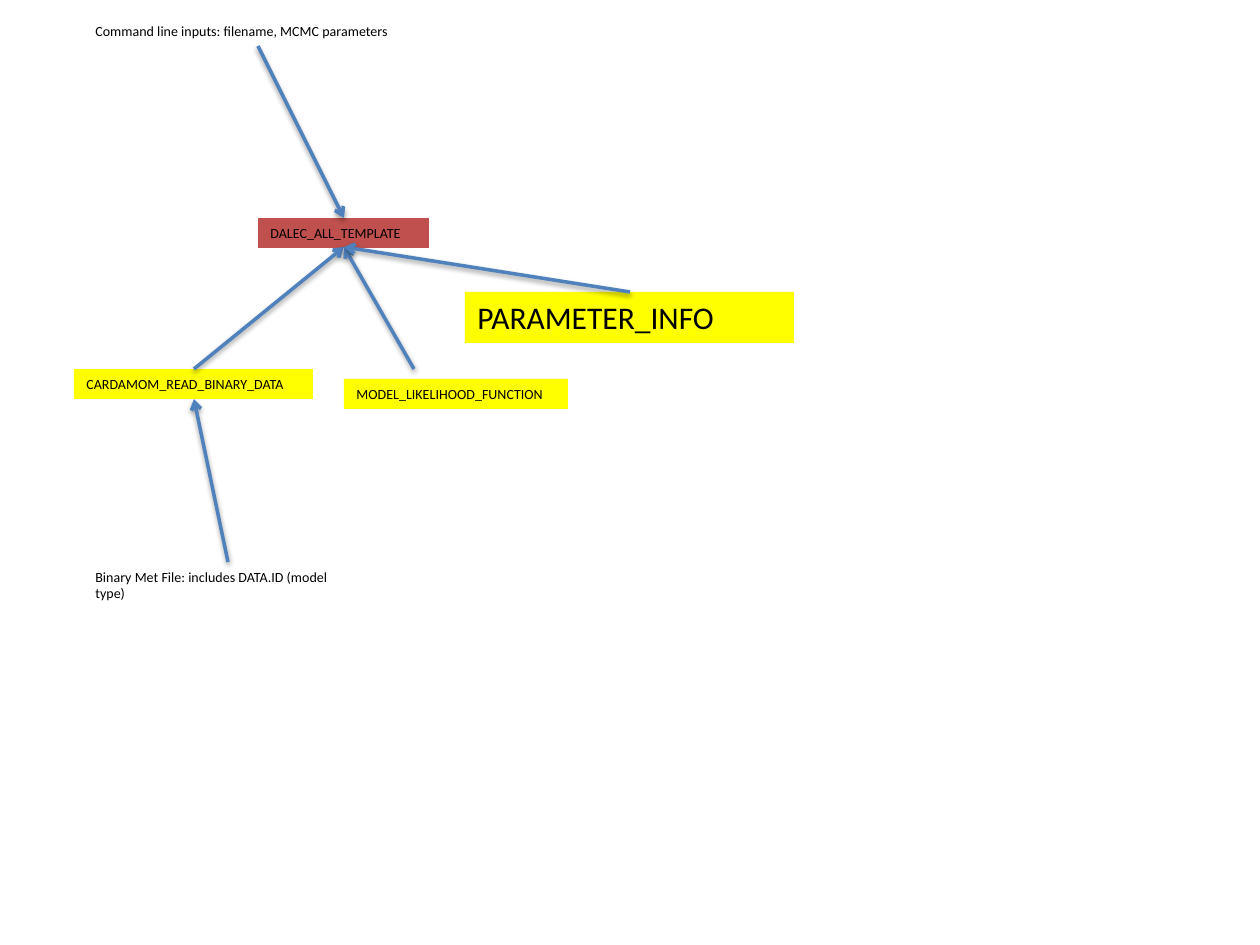
from dataclasses import dataclass

from lxml import etree
from pptx import Presentation
from pptx import util as u
from pptx.dml.color import RGBColor
from pptx.enum import shapes, text
from pptx.oxml.ns import qn

PX = 914400 / 126  # EMU in one px


@dataclass(frozen=True)
class Theme:
    font: str = "Calibri"
    small: int = 8
    large: int = 18
    ink: str = "000000"
    main: str = "C0504D"
    module: str = "FFFF00"
    arrow: str = "4F81BD"
    arrow_width: int = 2


THEME = Theme()


def px(length):
    return u.Emu(round(length * PX))


def add_label(page, words, left, top, width, height, fill=None, size=THEME.small):
    """Left-aligned one-line label, with an optional filled background."""
    box = page.shapes.add_textbox(px(left), px(top), px(width), px(height))
    if fill:
        box.fill.solid()
        box.fill.fore_color.rgb = RGBColor.from_string(fill)
    frame = box.text_frame
    frame.word_wrap = True
    frame.vertical_anchor = text.MSO_ANCHOR.TOP
    para = frame.paragraphs[0]
    para.text = words
    para.font.name = THEME.font
    para.font.size = u.Pt(size)
    para.font.color.rgb = RGBColor.from_string(THEME.ink)
    return box


def add_shadow(properties):
    effects = etree.SubElement(properties, qn("a:effectLst"))
    shadow = etree.SubElement(
        effects, qn("a:outerShdw"), blurRad=str(u.Pt(3.1)), dist=str(u.Pt(1.6)),
        dir="5400000", rotWithShape="0")
    color = etree.SubElement(shadow, qn("a:srgbClr"), val=THEME.ink)
    etree.SubElement(color, qn("a:alpha"), val="38000")


def add_arrow(page, start, end):
    arrow = page.shapes.add_connector(
        shapes.MSO_CONNECTOR.STRAIGHT, *map(px, start + end))
    arrow.line.color.rgb = RGBColor.from_string(THEME.arrow)
    arrow.line.width = u.Pt(THEME.arrow_width)
    etree.SubElement(arrow.line._get_or_add_ln(), qn("a:tailEnd"), type="arrow")
    add_shadow(arrow._element.spPr)


def main():
    deck = Presentation()
    deck.slide_width, deck.slide_height = px(1260), px(945)
    page = deck.slides.add_slide(deck.slide_layouts[6])

    # Points where arrows meet the main program and the data reader
    main_top, main_bottom = (344, 218), (344, 247)
    reader_top, reader_bottom = (194, 369), (194, 399)

    # Main program and data reader
    add_label(page, "DALEC_ALL_TEMPLATE", 258, 218, 171, 30, THEME.main)
    add_label(page, "CARDAMOM_READ_BINARY_DATA", 74, 369, 239, 30, THEME.module)
    add_arrow(page, reader_top, main_bottom)

    # Inputs
    add_label(page, "Command line inputs: filename, MCMC parameters", 83, 16, 350, 30)
    add_arrow(page, (258, 46), main_top)
    add_arrow(page, (228, 562), reader_bottom)
    add_label(page, "Binary Met File: includes DATA.ID (model type)", 83, 562, 290, 47)

    # Likelihood and parameter modules
    add_arrow(page, (414, 369), main_bottom)
    add_label(page, "MODEL_LIKELIHOOD_FUNCTION", 344, 379, 224, 30, THEME.module)
    add_label(page, "PARAMETER_INFO", 465, 292, 329, 51, THEME.module, THEME.large)
    add_arrow(page, (630, 292), main_bottom)

    deck.save("out.pptx")


if __name__ == "__main__":
    main()
